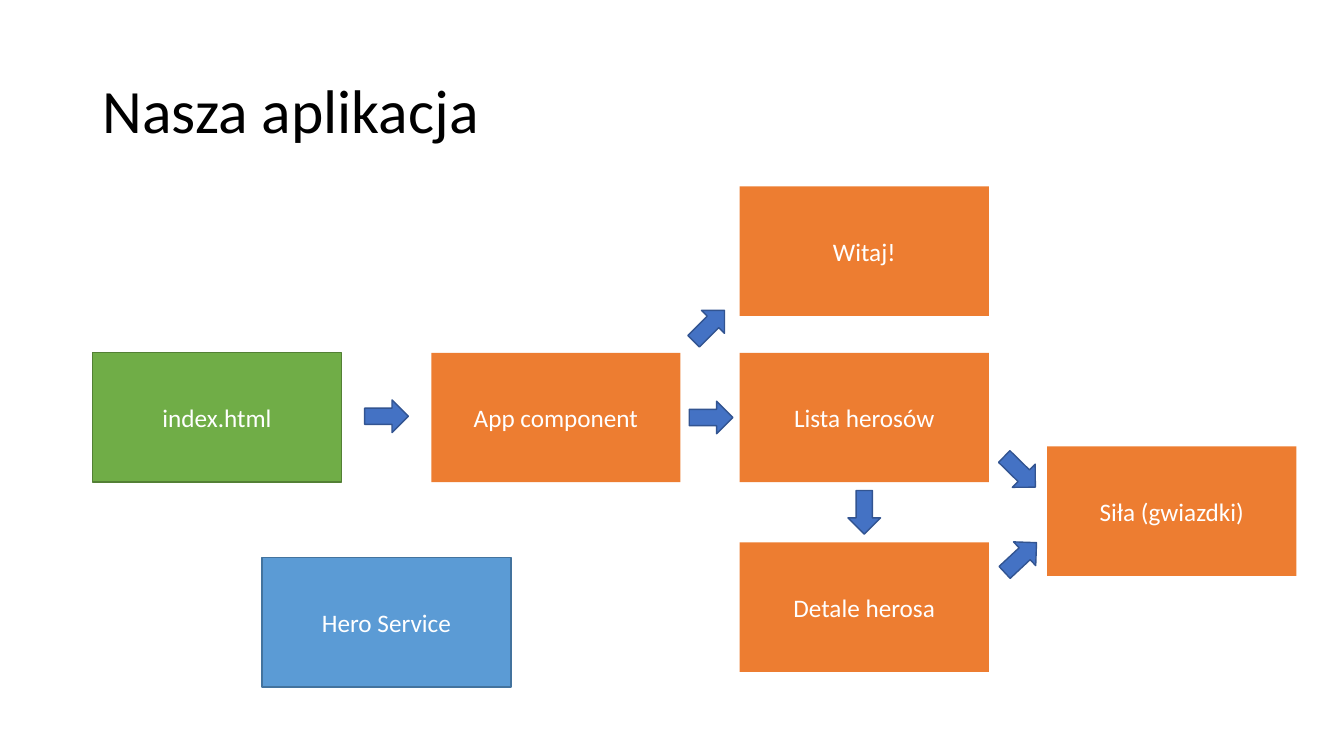
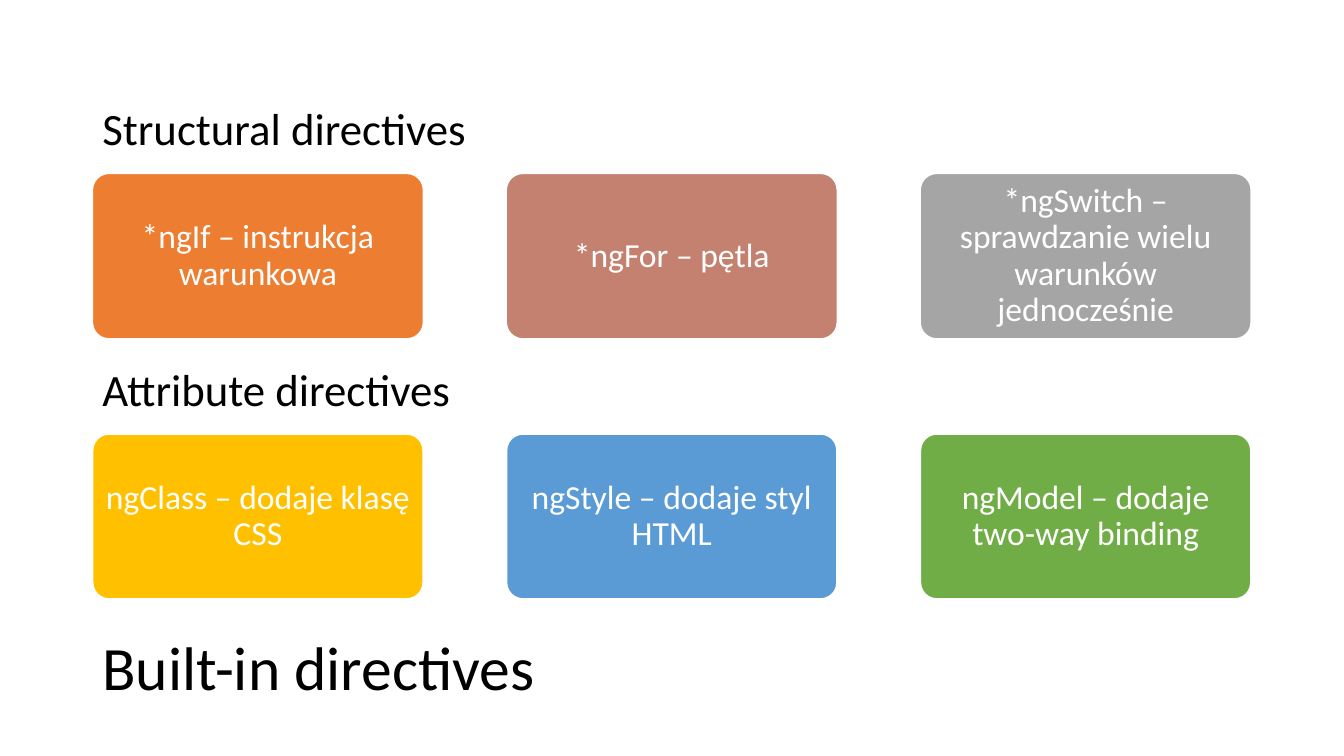
import pptx
import pptx.dml.color
import pptx.enum.shapes
import pptx.enum.text
import pptx.util

Cm = pptx.util.Cm
Pt = pptx.util.Pt
Kind = pptx.enum.shapes.MSO_SHAPE
Align = pptx.enum.text.PP_ALIGN
Anchor = pptx.enum.text.MSO_ANCHOR

FONT = "Calibri"
BLACK, WHITE = "000000", "FFFFFF"
ORANGE, GREEN, BLUE = "ED7D31", "70AD47", "5B9BD5"
ROSE, GREY, GOLD = "C48170", "A5A5A5", "FFC000"
LEFT = 2.33
TITLE = dict(size=44, space=0.9, anchor=Anchor.MIDDLE)
LABEL = dict(color=WHITE, align=Align.CENTER, anchor=Anchor.MIDDLE)


def hue(code):
    return pptx.dml.color.RGBColor.from_string(code)


def add(slide, text, box, kind=None, fill=None, line=None, width=1, turn=0,
        size=18, color=BLACK, align=Align.LEFT, anchor=Anchor.TOP,
        space=None, inset=(0.25, 0.13)):
    place = [Cm(n) for n in box]
    if kind is None:
        shape = slide.shapes.add_textbox(*place)
    else:
        shape = slide.shapes.add_shape(kind, *place)
        shape.shadow.inherit = False
        shape.rotation = turn
        shape.fill.solid()
        shape.fill.fore_color.rgb = hue(fill)
        if line:
            shape.line.color.rgb = hue(line)
            shape.line.width = Pt(width)
        else:
            shape.line.fill.background()
    if text:
        frame = shape.text_frame
        frame.word_wrap = True
        frame.vertical_anchor = anchor
        frame.margin_left = frame.margin_right = Cm(inset[0])
        frame.margin_top = frame.margin_bottom = Cm(inset[1])
        para = frame.paragraphs[0]
        para.alignment = align
        para.line_spacing = space
        run = para.add_run()
        run.text = text
        run.font.name = FONT
        run.font.size = Pt(size)
        run.font.color.rgb = hue(color)
    return shape


deck = pptx.Presentation()
deck.slide_width = Cm(33.87)
deck.slide_height = Cm(19.05)
blank = deck.slide_layouts[6]

slide = deck.slides.add_slide(blank)
add(slide, "Nasza aplikacja", (LEFT, 1.02, 29.21, 3.68), **TITLE)

mid, views = 8.89, 18.64
nodes = [
    ("Witaj!", views, 4.7, ORANGE, None),
    ("Lista herosów", views, mid, ORANGE, None),
    ("Detale herosa", views, 13.67, ORANGE, None),
    ("Siła (gwiazdki)", 26.39, 11.25, ORANGE, None),
    ("App component", 10.87, mid, ORANGE, None),
    ("index.html", LEFT, mid, GREEN, "538035"),
    ("Hero Service", 6.6, 14.05, BLUE, "43739E"),
]
for text, x, y, fill, line in nodes:
    add(slide, text, (x, y, 6.28, 3.26), Kind.RECTANGLE, fill, line, **LABEL)

arrows = [
    (9.19, 10.08, 0),
    (17.37, 10.11, 0),
    (17.32, 7.8, 314.9),
    (21.23, 12.5, 90),
    (25.15, 11.48, 44.5),
    (25.17, 13.64, 317),
]
for x, y, turn in arrows:
    add(slide, "", (x, y, 1.1, 0.82), Kind.RIGHT_ARROW, "4472C4", "325491",
        turn=turn)

slide = deck.slides.add_slide(blank)
add(slide, "Built-in directives", (LEFT, 15.37, 22.43, 3.05), **TITLE)

groups = [
    ("Structural directives", 4.37, 1, [
        ("*ngIf – instrukcja warunkowa", ORANGE),
        ("*ngFor – pętla", ROSE),
        ("*ngSwitch – sprawdzanie wielu warunków jednocześnie", GREY),
    ]),
    ("Attribute directives", 10.93, 1.5, [
        ("ngClass – dodaje klasę CSS", GOLD),
        ("ngStyle – dodaje styl HTML", BLUE),
        ("ngModel – dodaje two-way binding", GREEN),
    ]),
]
for head, top, width, cards in groups:
    add(slide, head, (LEFT, top - 1.95, 10.03, 1.63), size=32)
    for i, (text, fill) in enumerate(cards):
        card = add(slide, text, (LEFT + i * 10.43, top, 8.34, 4.17),
                   Kind.ROUNDED_RECTANGLE, fill, WHITE, width, size=24,
                   space=0.9, inset=(0.12, 0.08), **LABEL)
        card.adjustments[0] = 0.1

deck.save("out.pptx")
